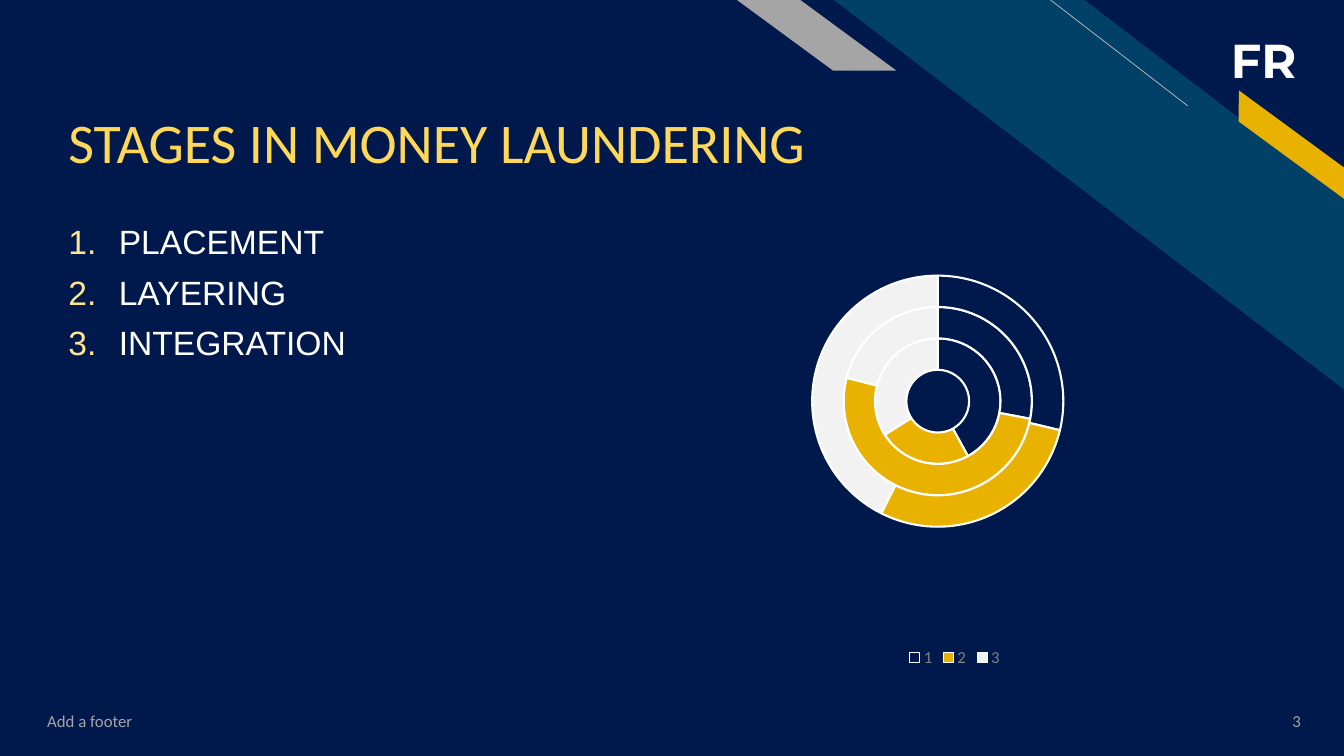
from lxml import etree
from pptx import Presentation
from pptx.chart.data import CategoryChartData
from pptx.dml.color import RGBColor
from pptx.enum.chart import XL_CHART_TYPE as ChartType, XL_LEGEND_POSITION as LegendPosition
from pptx.enum.shapes import MSO_CONNECTOR as Connector, MSO_SHAPE as Shape
from pptx.enum.text import MSO_ANCHOR as Anchor, PP_ALIGN as Align
from pptx.oxml import parse_xml
from pptx.oxml.ns import nsdecls, qn
from pptx.util import Inches, Pt

NAVY, TEAL, GOLD, GRAY = "00194C", "014067", "EAB200", "A5A5A5"


def color(hex_string):
    return RGBColor.from_string(hex_string)


def add_text(text, left, top, width, height, size, fill, font="Calibri", bold=False,
             anchor=Anchor.TOP, align=Align.LEFT, wrap=True, line_spacing=1.0,
             space_before=0, bottom_inset=0.05):
    box = slide.shapes.add_textbox(Inches(left), Inches(top), Inches(width), Inches(height))
    frame = box.text_frame
    frame.word_wrap = wrap
    frame.vertical_anchor = anchor
    frame.margin_bottom = Inches(bottom_inset)
    frame.text = text
    for paragraph in frame.paragraphs:
        paragraph.alignment = align
        paragraph.line_spacing = line_spacing
        paragraph.space_before = Pt(space_before)
        font_format = paragraph.runs[0].font
        font_format.name, font_format.size, font_format.bold = font, Pt(size), bold
        font_format.color.rgb = color(fill)
    return frame


presentation = Presentation()
presentation.slide_width, presentation.slide_height = Inches(13.33), Inches(7.5)
slide = presentation.slides.add_slide(presentation.slide_layouts[6])

# Background and diagonal bands: preset, box, fill, adjustment, rotation
bands = [
    (Shape.RECTANGLE, (0, 0, 13.33, 7.5), NAVY, None, 0),
    (Shape.DIAGONAL_STRIPE, (8.27, 0, 5.07, 3.87), TEAL, 0.51, 0),
    (Shape.PARALLELOGRAM, (12.07, 1.31, 1.48, 0.25), GOLD, 0.72, 36.3),
    (Shape.PARALLELOGRAM, (7.31, 0, 1.58, 0.7), GRAY, 1.36, 0),
]
for preset, box, fill, adjustment, rotation in bands:
    shape = slide.shapes.add_shape(preset, *[Inches(length) for length in box])
    shape.shadow.inherit = False
    shape.fill.solid()
    shape.fill.fore_color.rgb = color(fill)
    shape.line.fill.background()
    shape.rotation = rotation
    if adjustment is not None:
        shape.adjustments[0] = adjustment
        shape._element.spPr.find(qn("a:xfrm")).set("flipH", "1")

# Thin accent line
accent = slide.shapes.add_connector(
    Connector.STRAIGHT, Inches(11.78), Inches(1.05), Inches(10.42), Inches(0))
accent.line.color.rgb = color("BFBFBF")
accent.line.width = Pt(0.5)
etree.SubElement(accent._element.spPr, qn("a:effectLst"))

# Initials, footer and slide number
add_text("FR", 12.11, 0.26, 0.89, 0.67, 34, "FFFFFF", font="Montserrat", bold=True, wrap=False)
add_text("Add a footer", 0.37, 6.95, 4.5, 0.4, 12, GRAY, anchor=Anchor.MIDDLE)
add_text("3", 12.19, 6.95, 0.81, 0.4, 12, GRAY, anchor=Anchor.MIDDLE, align=Align.RIGHT)

# Title and numbered stages
add_text("STAGES IN MONEY LAUNDERING", 0.58, 0.48, 9.11, 1.26, 40, "FFD759",
         anchor=Anchor.BOTTOM, line_spacing=0.9, bottom_inset=0)
stages = add_text("PLACEMENT\nLAYERING\nINTEGRATION", 0.58, 2.19, 5.71, 4.47, 24, "FFFFFF",
                  font="Arial", line_spacing=0.9, space_before=10)
for paragraph in stages.paragraphs:
    properties = paragraph._p.get_or_add_pPr()
    properties.set("marL", str(Inches(0.5)))
    properties.set("indent", str(Inches(-0.5)))
    bullet_color = etree.SubElement(properties, qn("a:buClr"))
    etree.SubElement(bullet_color, qn("a:srgbClr"), val="FFE591")
    etree.SubElement(properties, qn("a:buFont"), typeface="Arial")
    etree.SubElement(properties, qn("a:buAutoNum"), type="arabicPeriod")

# Doughnut chart
chart_data = CategoryChartData()
chart_data.categories = ["1", "2", "3"]
chart_data.add_series("Series 1", (42, 24, 34))
chart_data.add_series("Series 2", (28, 51, 21))
chart_data.add_series("Series 3", (29, 29, 43))
chart = slide.shapes.add_chart(ChartType.DOUGHNUT, Inches(6.34), Inches(2.19),
                               Inches(6.26), Inches(4.47), chart_data).chart
chart.has_title = False
chart.font.name, chart.font.size = "Calibri", Pt(10)
chart.font.color.rgb = color("3F3F3F")
plot = chart.plots[0]
plot.vary_by_categories = True
plot._element.find(qn("c:holeSize")).set("val", "50")
for series in plot.series:
    for index, fill in enumerate([NAVY, GOLD, "F2F2F2"]):
        point = series.points[index].format
        point.fill.solid()
        point.fill.fore_color.rgb = color(fill)
        point.line.color.rgb = color("FFFFFF")
        point.line.width = Pt(1.5)

# Chart legend
chart.has_legend = True
legend = chart.legend
legend.position = LegendPosition.BOTTOM
legend.include_in_layout = False
legend.font.name, legend.font.size = "Calibri", Pt(12)
legend.font.color.rgb = color("828282")

# Fixed plot position, as fractions of the chart
plot_area = chart._chartSpace.chart.plotArea
for layout in plot_area.findall(qn("c:layout")):
    plot_area.remove(layout)
plot_area.insert(0, parse_xml(
    f'<c:layout {nsdecls("c")}><c:manualLayout><c:layoutTarget val="inner"/>'
    '<c:xMode val="edge"/><c:yMode val="edge"/><c:x val="0.274"/><c:y val="0.042"/>'
    '<c:w val="0.398"/><c:h val="0.717"/></c:manualLayout></c:layout>'))

presentation.save("out.pptx")
